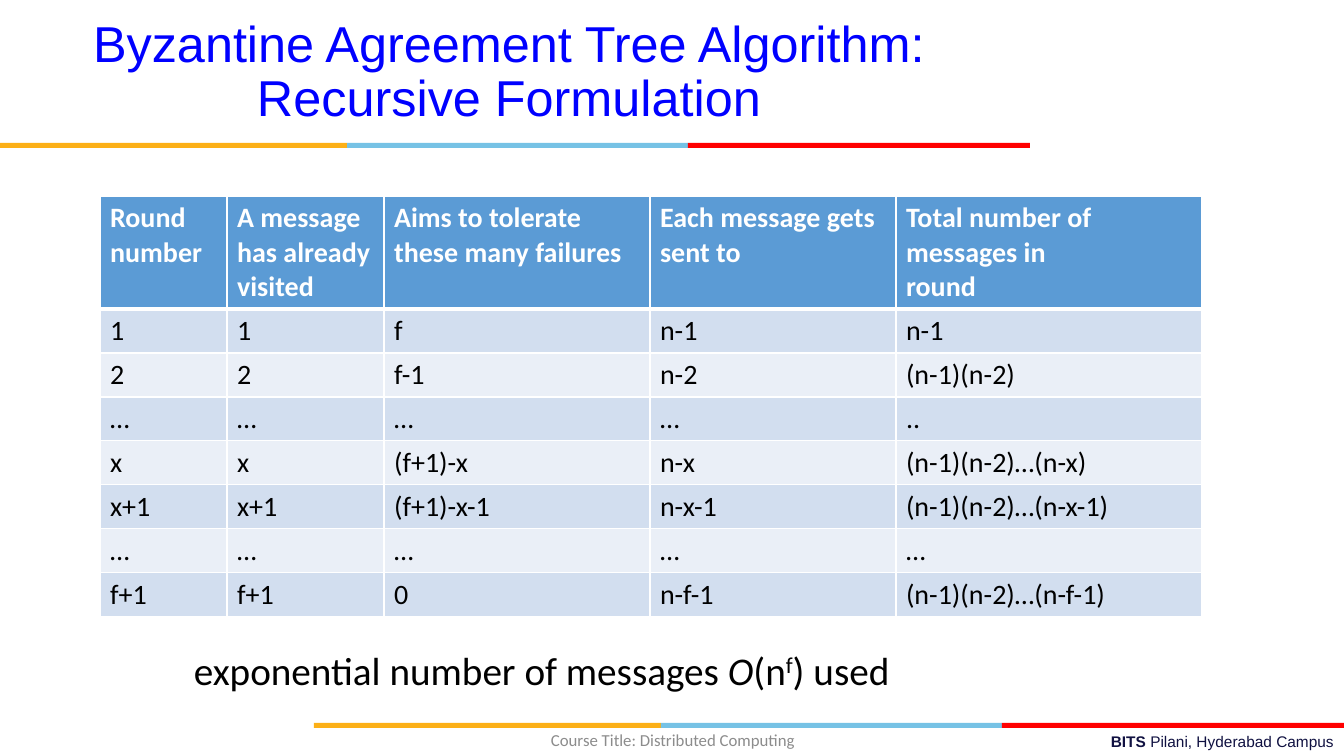
import pptx
import pptx.dml.color
import pptx.enum.shapes
import pptx.enum.text
import pptx.oxml
import pptx.oxml.ns
import pptx.util

RGBColor = pptx.dml.color.RGBColor
WHITE = RGBColor(0xFF, 0xFF, 0xFF)
BLACK = RGBColor(0x00, 0x00, 0x00)
GOLD = RGBColor(0xFC, 0xB0, 0x17)
SKY = RGBColor(0x76, 0xC2, 0xE5)
RED = RGBColor(0xFF, 0x00, 0x00)
TITLE_BLUE = RGBColor(0x00, 0x00, 0xFF)
NAVY = RGBColor(0x10, 0x11, 0x41)
GREY = RGBColor(0x8C, 0x8C, 0x8C)
HEADER_BLUE = RGBColor(0x5B, 0x9B, 0xD5)
BAND_DARK = RGBColor(0xD2, 0xDE, 0xEF)
BAND_LIGHT = RGBColor(0xEA, 0xEF, 0xF7)

TITLE = "Byzantine Agreement Tree Algorithm: Recursive Formulation"
COURSE = "Course Title: Distributed Computing"
CAMPUS = [("BITS ", {"bold": True}), ("Pilani, Hyderabad Campus", {})]
COST = [
    ("exponential number of messages ", {}),
    ("O", {"italic": True}),
    ("(n", {}),
    ("f", {"superscript": True}),
    (") used", {}),
]
ROUNDS = [
    ("Round\nnumber", "A message\nhas already\nvisited", "Aims to tolerate\nthese many failures",
     "Each message gets sent to", "Total number of messages in\nround"),
    ("1", "1", "f", "n-1", "n-1"),
    ("2", "2", "f-1", "n-2", "(n-1)(n-2)"),
    ("…", "…", "…", "…", ".."),
    ("x", "x", "(f+1)-x", "n-x", "(n-1)(n-2)…(n-x)"),
    ("x+1", "x+1", "(f+1)-x-1", "n-x-1", "(n-1)(n-2)…(n-x-1)"),
    ("…", "…", "…", "…", "…"),
    ("f+1", "f+1", "0", "n-f-1", "(n-1)(n-2)…(n-f-1)"),
]
COLUMN_WIDTHS = [127, 157, 266, 246, 306]
HEADER_HEIGHT, ROW_HEIGHT = 113, 44
STRIPE = [(GOLD, 347), (SKY, 341), (RED, 342)]
STRIPE_STARTS = [(0, 143), (314, 723)]
STRIPE_HEIGHT = 5

ALIGN = pptx.enum.text.PP_ALIGN
ANCHOR = pptx.enum.text.MSO_ANCHOR


def px(length):
    return pptx.util.Emu(round(length * 914400 / 100.8))


def style_font(paragraph, name, size, color, bold=None):
    paragraph.font.name = name
    paragraph.font.size = pptx.util.Pt(size)
    paragraph.font.color.rgb = color
    paragraph.font.bold = bold


def add_text(slide, box, runs, name, size, color, align, anchor=ANCHOR.TOP, wrap=True):
    frame = slide.shapes.add_textbox(*map(px, box)).text_frame
    frame.word_wrap = wrap
    frame.vertical_anchor = anchor
    paragraph = frame.paragraphs[0]
    paragraph.alignment = align
    style_font(paragraph, name, size, color)
    for text, style in runs:
        run = paragraph.add_run()
        run.text = text
        run.font.bold = style.get("bold")
        run.font.italic = style.get("italic")
        if style.get("superscript"):
            run._r.get_or_add_rPr().set("baseline", "30000")
    return paragraph


def add_stripe(slide, left, top):
    for color, width in STRIPE:
        bar = slide.shapes.add_shape(
            pptx.enum.shapes.MSO_SHAPE.RECTANGLE, px(left), px(top), px(width), px(STRIPE_HEIGHT))
        bar.shadow.inherit = False
        bar.fill.solid()
        bar.fill.fore_color.rgb = color
        bar.line.fill.background()
        left += width


def set_borders(cell, widths):
    properties = cell._tc.get_or_add_tcPr()
    for side, width in widths.items():
        properties.append(pptx.oxml.parse_xml(
            f'<a:{side} {pptx.oxml.ns.nsdecls("a")} w="{pptx.util.Pt(width)}">'
            f'<a:solidFill><a:srgbClr val="{WHITE}"/></a:solidFill></a:{side}>'))


def add_rounds_table(slide, left, top):
    height = HEADER_HEIGHT + ROW_HEIGHT * (len(ROUNDS) - 1)
    table = slide.shapes.add_table(
        len(ROUNDS), len(COLUMN_WIDTHS), px(left), px(top), px(sum(COLUMN_WIDTHS)), px(height)).table
    for column, width in zip(table.columns, COLUMN_WIDTHS):
        column.width = px(width)
    for index, texts in enumerate(ROUNDS):
        is_header = index == 0
        table.rows[index].height = px(HEADER_HEIGHT if is_header else ROW_HEIGHT)
        fill = HEADER_BLUE if is_header else (BAND_LIGHT, BAND_DARK)[index % 2]
        borders = {"lnL": 1, "lnR": 1, "lnT": 3 if index == 1 else 1, "lnB": 3 if is_header else 1}
        for column, text in enumerate(texts):
            cell = table.cell(index, column)
            set_borders(cell, borders)
            cell.fill.solid()
            cell.fill.fore_color.rgb = fill
            cell.text_frame.text = text
            for paragraph in cell.text_frame.paragraphs:
                style_font(paragraph, "Calibri", 20, WHITE if is_header else BLACK, is_header)


def main():
    presentation = pptx.Presentation()
    presentation.slide_width = px(1344)
    presentation.slide_height = px(756)
    slide = presentation.slides.add_slide(presentation.slide_layouts[6])

    for left, top in STRIPE_STARTS:
        add_stripe(slide, left, top)
    add_text(slide, (482, 727, 862, 29), CAMPUS, "Arial", 11, NAVY, ALIGN.RIGHT)
    title = add_text(slide, (44, 10, 930, 126), [(TITLE, {})], "Arial", 36, TITLE_BLUE,
                     ALIGN.CENTER, ANCHOR.MIDDLE)
    title.line_spacing = 0.9
    add_text(slide, (446, 720, 454, 40), [(COURSE, {})], "Calibri", 12, GREY,
             ALIGN.CENTER, ANCHOR.MIDDLE)
    add_rounds_table(slide, 100, 196)
    add_text(slide, (184, 641, 744, 57), COST, "Calibri", 28, BLACK, ALIGN.LEFT, wrap=False)

    presentation.save("out.pptx")


if __name__ == "__main__":
    main()
